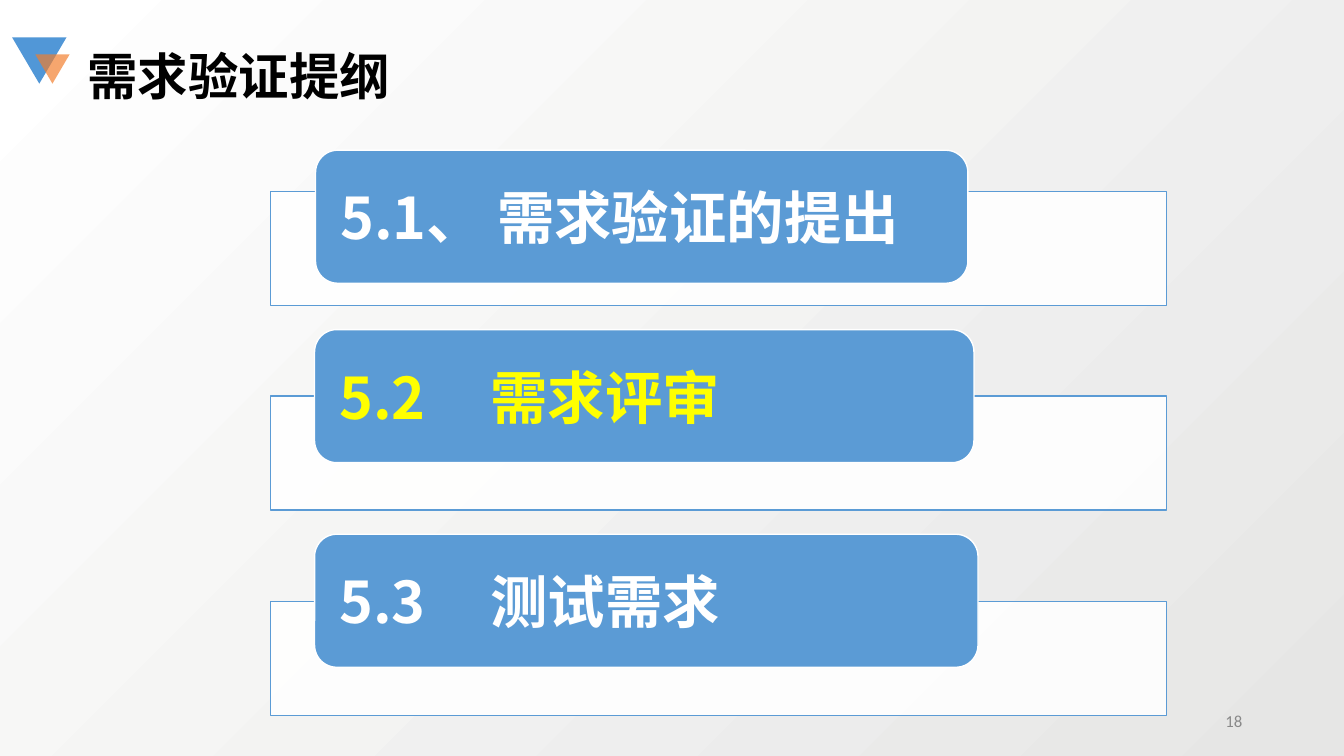
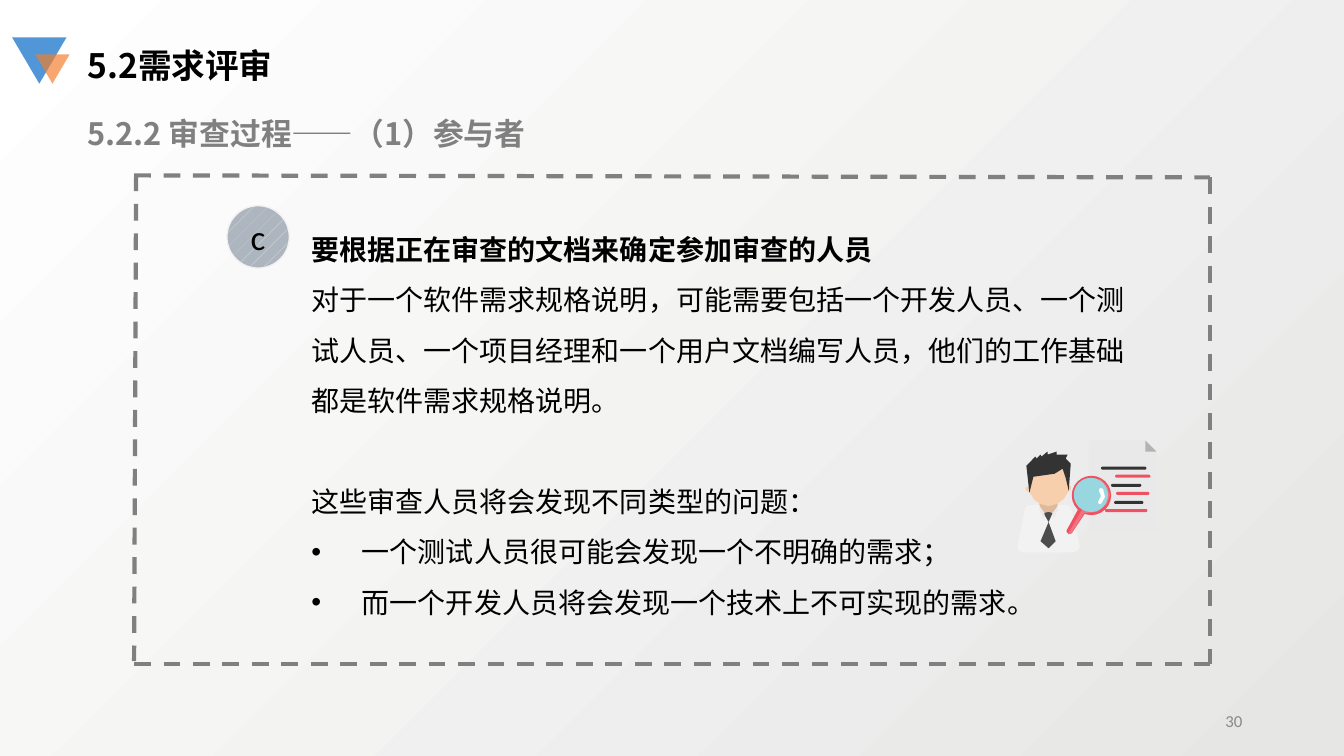
from dataclasses import dataclass

from lxml import etree
from pptx import Presentation
from pptx.dml.color import RGBColor
from pptx.enum.dml import MSO_LINE, MSO_PATTERN
from pptx.enum.shapes import MSO_CONNECTOR, MSO_SHAPE as Preset
from pptx.enum.text import MSO_ANCHOR as Anchor, MSO_AUTO_SIZE as AutoSize, PP_ALIGN as Align
from pptx.oxml.ns import qn
from pptx.util import Emu, Pt

PX = 9144  # EMU per px, 100 px to the inch


@dataclass(frozen=True)
class Theme:
    # Fonts
    heading: str = "Noto Sans CJK SC"
    latin: str = "Calibri"
    # Colours
    ink: str = "000000"
    grey: str = "808080"
    number: str = "898989"
    white: str = "FFFFFF"
    shade: str = "E6E6E5"
    blue: str = "5B9BD5"
    mark_blue: str = "5197D7"
    mark_orange: str = "F37D2A"
    highlight: str = "FFFF00"
    badge: str = "ADB5BF"
    badge_dots: str = "E4E6EA"
    badge_edge: str = "F2F2F2"
    paper: str = "E9E9E9"
    fold: str = "B3B3B3"
    dark: str = "333333"
    red: str = "EF5160"
    light_red: str = "F2727E"
    neck: str = "DEBA9B"
    skin: str = "F7CFAC"
    shirt: str = "F2F2F2"
    collar: str = "EAEAEA"
    tie: str = "4D4D4D"
    glass: str = "98D7DF"
    # Type sizes
    label_size: int = 41
    title_size: int = 36
    badge_size: int = 25
    section_size: int = 24
    subtitle_size: int = 22
    body_size: int = 20
    body_pitch: int = 36
    number_size: int = 12


def rgb(color):
    return RGBColor.from_string(color)


class Deck:
    """Holds the style and the current slide."""

    def __init__(self, theme):
        self.theme = theme
        self.presentation = Presentation()
        self.presentation.slide_width = Emu(1333 * PX)
        self.presentation.slide_height = Emu(750 * PX)
        self.slide = None
        fill = self.presentation.slide_master.background.fill
        fill.gradient()
        fill.gradient_angle = 135
        for stop, color in zip(fill.gradient_stops, (theme.shade, theme.white)):
            stop.color.rgb = rgb(color)

    def new_slide(self, number):
        """Add a slide with the corner mark and the page number."""
        theme = self.theme
        self.slide = self.presentation.slides.add_slide(self.presentation.slide_layouts[6])
        for box, color, alpha in (((12, 37, 54, 46), theme.mark_blue, 100),
                                  ((35, 54, 34, 29), theme.mark_orange, 68)):
            self.shape(Preset.ISOSCELES_TRIANGLE, box, color, alpha=alpha).rotation = 180
        frame = self.text_box((942, 695, 300, 40), grow=False)
        frame.vertical_anchor = Anchor.MIDDLE
        self.paragraph(frame, number, theme.number_size, theme.number,
                       font=theme.latin, align=Align.RIGHT)

    def paint(self, shape, fill, line=None, alpha=100):
        shape.shadow.inherit = False
        shape.fill.solid()
        shape.fill.fore_color.rgb = rgb(fill)
        if alpha < 100:
            color = shape.element.spPr.find(qn("a:solidFill"))[0]
            etree.SubElement(color, qn("a:alpha"), val=str(alpha * 1000))
        if line:
            shape.line.color.rgb = rgb(line)
            shape.line.width = Pt(1)
        else:
            shape.line.fill.background()
        return shape

    def shape(self, preset, box, fill, line=None, alpha=100):
        shape = self.slide.shapes.add_shape(preset, *(Emu(n * PX) for n in box))
        return self.paint(shape, fill, line, alpha)

    def outline(self, points, fill):
        builder = self.slide.shapes.build_freeform(*points[0], scale=PX)
        builder.add_line_segments(points[1:])
        return self.paint(builder.convert_to_shape(), fill)

    def dashed_line(self, start, end):
        ends = (Emu(n * PX) for n in (*start, *end))
        connector = self.slide.shapes.add_connector(MSO_CONNECTOR.STRAIGHT, *ends)
        connector.line.color.rgb = rgb(self.theme.grey)
        connector.line.width = Pt(3)
        connector.line.dash_style = MSO_LINE.DASH
        etree.SubElement(connector.element.spPr, qn("a:effectLst"))

    def text_box(self, box, grow=True):
        frame = self.slide.shapes.add_textbox(*(Emu(n * PX) for n in box)).text_frame
        frame.word_wrap = True
        frame.auto_size = AutoSize.SHAPE_TO_FIT_TEXT if grow else AutoSize.NONE
        return frame

    def paragraph(self, frame, text, size, color, bold=False, font=None,
                  align=Align.LEFT, bullet=False, tab=None):
        """Fill the empty first paragraph, or add one after it."""
        paragraph = frame.paragraphs[0] if not frame.text else frame.add_paragraph()
        paragraph.text = text
        paragraph.alignment = align
        properties = paragraph._p.get_or_add_pPr()
        if bullet:
            properties.set("marL", str(50 * PX))
            properties.set("indent", str(-50 * PX))
            etree.SubElement(properties, qn("a:buFont"), typeface="Arial")
            etree.SubElement(properties, qn("a:buChar"), char="•")
        if tab:
            tabs = etree.SubElement(properties, qn("a:tabLst"))
            etree.SubElement(tabs, qn("a:tab"), pos=str(tab * PX), algn="l")
        name = font or self.theme.heading
        paragraph.font.size = Pt(size)
        paragraph.font.bold = bold
        paragraph.font.color.rgb = rgb(color)
        paragraph.font.name = name
        etree.SubElement(properties.find(qn("a:defRPr")), qn("a:ea"), typeface=name)
        return paragraph

    def heading(self, box, text, size, color):
        self.paragraph(self.text_box(box), text, size, color, bold=True)

    def agenda_row(self, plate_top, label_box, text, color):
        """A white plate with a blue label over its upper edge."""
        theme = self.theme
        self.shape(Preset.RECTANGLE, (268, plate_top, 889, 113), theme.white, theme.blue, 90)
        label = self.shape(Preset.ROUNDED_RECTANGLE, label_box, theme.blue, theme.white)
        frame = label.text_frame
        frame.word_wrap = True
        frame.vertical_anchor = Anchor.MIDDLE
        frame.margin_left = frame.margin_right = Emu(18 * PX)
        frame.margin_top = frame.margin_bottom = 0
        self.paragraph(frame, text, theme.label_size, color, bold=True, tab=150)

    def badge(self, box, text):
        theme = self.theme
        badge = self.shape(Preset.OVAL, box, theme.badge, theme.badge_edge)
        badge.fill.patterned()
        badge.fill.pattern = MSO_PATTERN.PERCENT_5
        badge.fill.fore_color.rgb = rgb(theme.badge_dots)
        badge.fill.back_color.rgb = rgb(theme.badge)
        badge.text_frame.vertical_anchor = Anchor.MIDDLE
        self.paragraph(badge.text_frame, text, theme.badge_size, theme.ink,
                       font=theme.latin, align=Align.CENTER)

    def reviewer(self):
        """A reviewer who reads a document through a magnifier."""
        theme = self.theme
        # Document and its lines of writing
        self.outline([(1080, 437), (1136, 437), (1147, 448), (1147, 526), (1080, 526)], theme.paper)
        self.outline([(1136, 437), (1147, 448), (1136, 448)], theme.fold)
        lines = ((1092, 45), (1106, 35), (1102, 30), (1107, 33), (1105, 29), (1096, 42))
        for index, (left, width) in enumerate(lines):
            line = self.shape(Preset.ROUNDED_RECTANGLE, (left, 463 + index * 17 // 2, width, 3),
                              theme.red if index % 2 else theme.dark)
            line.adjustments[0] = 0.5
        # Body
        self.shape(Preset.RECTANGLE, (1031, 493, 18, 16), theme.neck)
        self.outline([(1021, 501), (1031, 501), (1032, 506), (1036, 509), (1043, 509), (1048, 506),
                      (1049, 501), (1058, 501), (1062, 503), (1071, 542), (1069, 546), (1065, 548),
                      (1014, 548), (1010, 546), (1009, 542), (1017, 503)], theme.shirt)
        self.outline([(1035, 509), (1040, 508), (1044, 509), (1040, 518), (1047, 537),
                      (1040, 544), (1032, 537), (1040, 518)], theme.tie)
        # Head and hair
        self.outline([(1022, 474), (1028, 463), (1040, 457), (1052, 457), (1057, 465), (1059, 481),
                      (1062, 482), (1062, 486), (1060, 487), (1055, 495), (1048, 500), (1040, 502),
                      (1032, 500), (1026, 496), (1021, 488), (1018, 487), (1017, 484), (1021, 482)],
                     theme.skin)
        self.outline([(1021, 489), (1018, 462), (1027, 453), (1028, 455), (1032, 451), (1033, 453),
                      (1039, 448), (1039, 451), (1048, 448), (1048, 451), (1059, 451), (1057, 455),
                      (1062, 460), (1060, 487), (1057, 474), (1054, 465), (1046, 470), (1025, 473)],
                     theme.dark)
        # Collar, one wing on each side of the tie
        for side in (-1, 1):
            self.outline([(1040 + side * x, y) for x, y in ((9, 506), (9, 502), (4, 509), (5, 515))],
                         theme.collar)
        # Magnifier
        self.outline([(1070, 504), (1077, 508), (1063, 529), (1060, 530), (1058, 528), (1058, 526)],
                     theme.red)
        self.shape(Preset.OVAL, (1063, 472, 39, 39), theme.red)
        self.outline([(1091, 475), (1098, 482), (1101, 491), (1098, 500), (1088, 508), (1075, 509),
                      (1063, 529), (1059, 530)], theme.light_red)
        self.shape(Preset.OVAL, (1065, 474, 34, 34), theme.glass)
        self.outline([(1090, 487), (1091, 484), (1094, 485), (1096, 493), (1092, 500),
                      (1090, 500), (1089, 498), (1092, 492)], theme.white)


def agenda_slide(deck):
    theme = deck.theme
    deck.new_slide("18")
    deck.heading((77, 40, 511, 71), "需求验证提纲", theme.title_size, theme.ink)
    rows = (((313, 149, 647, 132), "5.1、 需求验证的提出", theme.white),
            ((312, 327, 654, 132), "5.2\t需求评审", theme.highlight),
            ((312, 530, 658, 132), "5.3\t测试需求", theme.white))
    for index, row in enumerate(rows):
        deck.agenda_row(190 + index * 407 // 2, *row)


def participants_slide(deck):
    theme = deck.theme
    deck.new_slide("30")
    deck.heading((77, 40, 335, 50), "5.2需求评审", theme.section_size, theme.ink)
    deck.heading((77, 109, 495, 47), "5.2.2 审查过程——（1）参与者", theme.subtitle_size, theme.grey)

    # Body text: wording, bold, bullet, space before
    frame = deck.text_box((299, 209, 848, 457))
    for text, bold, bullet, gap in (
            ("要根据正在审查的文档来确定参加审查的人员", True, False, 0),
            ("对于一个软件需求规格说明，可能需要包括一个开发人员、一个测试人员、"
             "一个项目经理和一个用户文档编写人员，他们的工作基础都是软件需求规格说明。", False, False, 0),
            ("这些审查人员将会发现不同类型的问题：", False, False, theme.body_pitch),
            ("一个测试人员很可能会发现一个不明确的需求；", False, True, 0),
            ("而一个开发人员将会发现一个技术上不可实现的需求。", False, True, 0)):
        paragraph = deck.paragraph(frame, text, theme.body_size, theme.ink, bold, bullet=bullet)
        paragraph.line_spacing = Pt(theme.body_pitch)
        if gap:
            paragraph.space_before = Pt(gap)

    # Dashed frame
    for start, end in (((133, 174), (1200, 176)), ((135, 173), (133, 656)),
                       ((1200, 176), (1200, 659)), ((133, 659), (1200, 659))):
        deck.dashed_line(start, end)
    deck.badge((225, 204, 62, 62), "c")
    deck.reviewer()


def main():
    deck = Deck(Theme())
    agenda_slide(deck)
    participants_slide(deck)
    deck.presentation.save("out.pptx")


if __name__ == "__main__":
    main()
